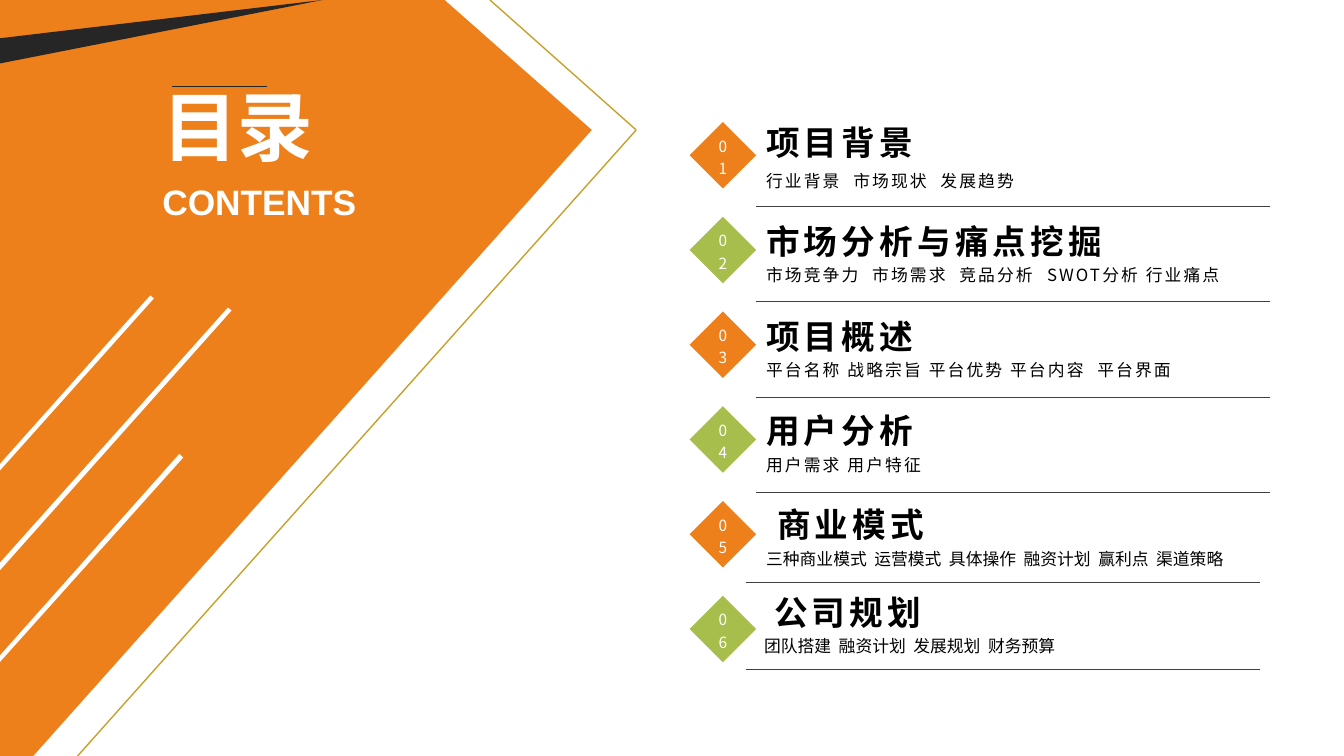
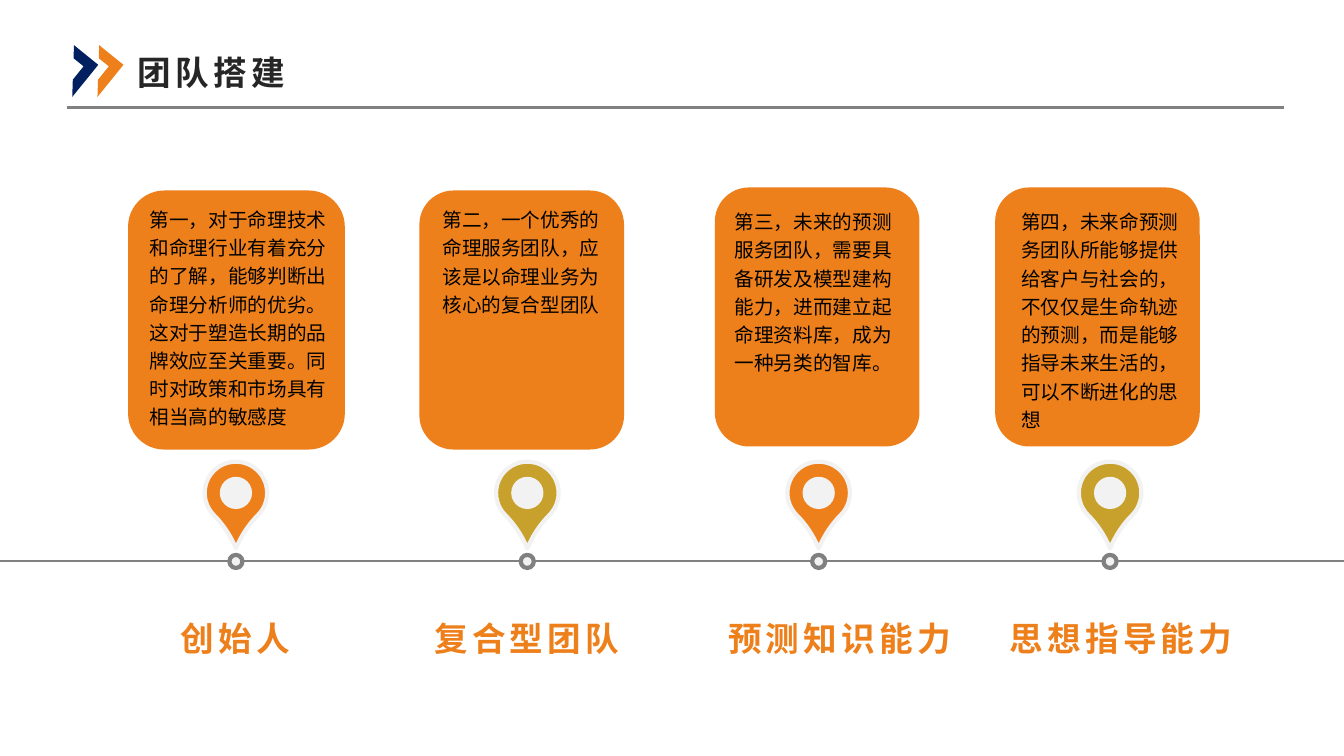
from pptx import Presentation
from pptx.dml.color import RGBColor
from pptx.enum.shapes import MSO_CONNECTOR, MSO_SHAPE
from pptx.enum.text import MSO_ANCHOR, PP_ALIGN
from pptx.oxml.ns import qn
from pptx.util import Inches, Pt
from lxml.etree import SubElement

ORANGE, GREEN, GOLD, NAVY = "EE801C", "A7BD4C", "C8A02C", "002060"
BLACK, DARK, RULE, GRAY = "000000", "262626", "404040", "808080"
LIGHT, WHITE = "F2F2F2", "FFFFFF"
LATIN, SANS, SANS_JP = "Arial", "Noto Sans CJK SC", "Noto Sans CJK JP"
WIDTH, HEIGHT = 13.33, 7.5

HEADING = dict(size=24, bold=True, spc=3)
CHAPTER = dict(HEADING, font=SANS_JP, color=BLACK)
KEYWORDS = dict(size=12, font=SANS_JP, color=BLACK, spacing=1.2)
NUMBER = dict(size=11, font=SANS, color=WHITE, spacing=1.2, align=PP_ALIGN.CENTER)
CARD_TEXT = dict(size=14, font=SANS, color=BLACK, spacing=1.2)
CARD_LABEL = dict(HEADING, font=LATIN, color=ORANGE, spacing=1.2, align=PP_ALIGN.CENTER)
PAGE_TITLE = dict(HEADING, font=LATIN, color=DARK)

# chapter, keywords, chapter left, chapter top, keywords left, letter spacing, line spacing
CHAPTERS = [
    ("项目背景", "行业背景  市场现状  发展趋势", 7.5, 1.16, 7.5, 1.5, 1.0),
    ("市场分析与痛点挖掘", "市场竞争力  市场需求  竞品分析  SWOT分析 行业痛点",
     7.5, 2.1, 7.5, 1.5, 1.2),
    ("项目概述", "平台名称 战略宗旨 平台优势 平台内容  平台界面", 7.5, 3.04, 7.5, 1.5, 1.2),
    ("用户分析", "用户需求 用户特征", 7.5, 3.98, 7.5, 1.5, 1.2),
    ("商业模式", "三种商业模式  运营模式  具体操作  融资计划  赢利点  渠道策略",
     7.61, 4.91, 7.5, 0, 1.2),
    ("公司规划", "团队搭建  融资计划  发展规划  财务预算", 7.58, 5.78, 7.48, 0, 1.2),
]
CHAPTER_RULES = [(7.5, 2.05), (7.5, 2.99), (7.5, 3.94), (7.5, 4.88), (7.4, 5.78), (7.4, 6.64)]

PANEL = [
    (0, 0), (4.41, 0), (5.87, 1.29), (0.33, 7.5), (0, 7.5),
    (0, 6.57), (1.82, 4.54), (1.78, 4.5), (0, 6.5),
    (0, 5.66), (2.3, 3.08), (2.26, 3.05), (0, 5.58),
    (0, 4.67), (1.53, 2.96), (1.49, 2.93), (0, 4.6),
]
PANEL_EDGE = [(4.86, 0), (6.31, 1.29), (0.77, 7.5)]
WEDGE = [(0, 0.38), (3.2, 0), (0, 0.63)]

# label, label width, text, card left, card top, card width, text inset left, text inset top
CARDS = [
    ("创始人", 2.27,
     "第一，对于命理技术和命理行业有着充分的了解，能够判断出命理分析师的优劣。"
     "这对于塑造长期的品牌效应至关重要。同时对政策和市场具有相当高的敏感度",
     1.27, 1.89, 2.15, 0.11, 0.02),
    ("复合型团队", 2.27, "第二，一个优秀的命理服务团队，应该是以命理业务为核心的复合型团队",
     4.16, 1.89, 2.03, 0.13, 0.03),
    ("预测知识能力", 2.69,
     "第三，未来的预测服务团队，需要具备研发及模型建构能力，进而建立起命理资料库，"
     "成为一种另类的智库。",
     7.09, 1.86, 2.03, 0.1, 0.08),
    ("思想指导能力", 2.5,
     "第四，未来命预测务团队所能够提供给客户与社会的，不仅仅是生命轨迹的预测，"
     "而是能够指导未来生活的，可以不断进化的思想",
     9.87, 1.86, 2.03, 0.16, 0.08),
]
FIRST_PIN, PIN_PITCH = 2.34, 2.89
PIN_Y, TIMELINE_Y = 4.89, 5.57


def rgb(value):
    return RGBColor.from_string(value)


def paint(sp, fill=None, line=None, width=1):
    sp.shadow.inherit = False
    if fill:
        sp.fill.solid()
        sp.fill.fore_color.rgb = rgb(fill)
    else:
        sp.fill.background()
    if line:
        sp.line.color.rgb = rgb(line)
        sp.line.width = Pt(width)
    else:
        sp.line.fill.background()


def write(sp, text, size, font, color, bold=False, spc=0, spacing=1.0,
          align=PP_ALIGN.LEFT, anchor=MSO_ANCHOR.TOP, insets=(0.1, 0.05, 0.1, 0.05)):
    """Fill a shape with one paragraph; insets run left, top, right, bottom."""
    tf = sp.text_frame
    tf.word_wrap = True
    tf.vertical_anchor = anchor
    for side, inset in zip(("left", "top", "right", "bottom"), insets):
        setattr(tf, f"margin_{side}", Inches(inset))
    p = tf.paragraphs[0]
    p.alignment, p.line_spacing = align, spacing
    r = p.add_run()
    r.text = text
    for name, value in dict(size=Pt(size), bold=bold, name=font).items():
        setattr(r.font, name, value)
    r.font.color.rgb = rgb(color)
    rPr = r._r.get_or_add_rPr()
    rPr.set("spc", str(int(spc * 100)))
    SubElement(rPr, qn("a:ea")).set("typeface", SANS if font == LATIN else font)


def add_text(s, box, text, **style):
    write(s.shapes.add_textbox(*map(Inches, box)), text, **style)


def add_shape(s, kind, box, rotation=0, **look):
    sp = s.shapes.add_shape(kind, *map(Inches, box))
    sp.rotation = rotation
    paint(sp, **look)
    return sp


def add_dot(s, x, y, size, **look):
    """Circle centred on x, y."""
    add_shape(s, MSO_SHAPE.OVAL, (x - size / 2, y - size / 2, size, size), **look)


def add_line(s, x1, x2, y, color, width):
    line = s.shapes.add_connector(
        MSO_CONNECTOR.STRAIGHT, Inches(x1), Inches(y), Inches(x2), Inches(y))
    line.line.color.rgb = rgb(color)
    line.line.width = Pt(width)
    SubElement(line._element.spPr, qn("a:effectLst"))


def add_outline(s, points, close=True, **look):
    start, *rest = [(Inches(x), Inches(y)) for x, y in points]
    builder = s.shapes.build_freeform(*start)
    builder.add_line_segments(rest, close=close)
    paint(builder.convert_to_shape(), **look)


def add_pin(s, x, color):
    size = 0.62
    drop = add_shape(s, MSO_SHAPE.TEAR, (x - size / 2, PIN_Y - size / 2, size, size),
                     rotation=135, fill=color, line=LIGHT, width=3)
    drop.adjustments[0] = 1.254
    add_dot(s, x, PIN_Y, 0.32, fill=LIGHT)
    add_dot(s, x, TIMELINE_Y, 0.13, fill=LIGHT, line=GRAY, width=3)


def add_header(s, title):
    add_line(s, 0.66, 12.73, 1.07, GRAY, 2.25)
    add_text(s, (1.27, 0.33, 2.23, 0.77), title, anchor=MSO_ANCHOR.MIDDLE, **PAGE_TITLE)
    for left, color in ((0.52, NAVY), (0.77, ORANGE)):
        add_shape(s, MSO_SHAPE.HALF_FRAME, (left, 0.55, 0.41, 0.31), rotation=129, fill=color)


def build_contents(s):
    for i, (chapter, keywords, left, top, keywords_left, spc, spacing) in enumerate(CHAPTERS):
        add_text(s, (left, top, 5.09, 0.45), chapter, spacing=spacing,
                 anchor=MSO_ANCHOR.MIDDLE, insets=(0.1, 0.05, 0.1, 0), **CHAPTER)
        add_text(s, (keywords_left, top + 0.49, 5.09, 0.37), keywords, spc=spc,
                 insets=(0.1, 0, 0.1, 0.05), **KEYWORDS)
        diamond = add_shape(s, MSO_SHAPE.DIAMOND, (6.84, 1.21 + 0.94 * i, 0.66, 0.66),
                            fill=(ORANGE, GREEN)[i % 2])
        write(diamond, f"{i + 1:02}", anchor=MSO_ANCHOR.MIDDLE, **NUMBER)
    for left, y in CHAPTER_RULES:
        add_line(s, left, left + 5.1, y, RULE, 0.25)
    add_outline(s, PANEL, fill=ORANGE)
    add_outline(s, WEDGE, fill=DARK)
    add_outline(s, PANEL_EDGE, close=False, line=GOLD)
    add_text(s, (1.56, 0.9, 2.26, 0.79), "目录", size=54, font=SANS_JP, color=WHITE, bold=True,
             anchor=MSO_ANCHOR.BOTTOM, insets=(0.05, 0.05, 0.05, 0))
    add_text(s, (1.56, 1.74, 2.26, 0.52), "CONTENTS", size=25.2, font=LATIN, color=WHITE,
             bold=True, insets=(0.05, 0.05, 0.05, 0.05))
    add_line(s, 1.71, 2.65, 0.86, DARK, 0.5)


def build_team(s):
    add_header(s, "团队搭建")
    add_line(s, 0, WIDTH, TIMELINE_Y, GRAY, 1.5)
    for i, (label, label_width, text, left, top, width, inset_x, inset_y) in enumerate(CARDS):
        card = add_shape(s, MSO_SHAPE.ROUNDED_RECTANGLE, (left, top, width, 2.57), fill=ORANGE)
        write(card, text, insets=(inset_x, inset_y, 0.05, 0), **CARD_TEXT)
        add_pin(s, FIRST_PIN + PIN_PITCH * i, (ORANGE, GOLD)[i % 2])
        add_text(s, (1.2 + PIN_PITCH * i, 6, label_width, 0.94), label, **CARD_LABEL)


def main():
    prs = Presentation()
    prs.slide_width, prs.slide_height = Inches(WIDTH), Inches(HEIGHT)
    for build in (build_contents, build_team):
        build(prs.slides.add_slide(prs.slide_layouts[6]))
    prs.save("out.pptx")


if __name__ == "__main__":
    main()
